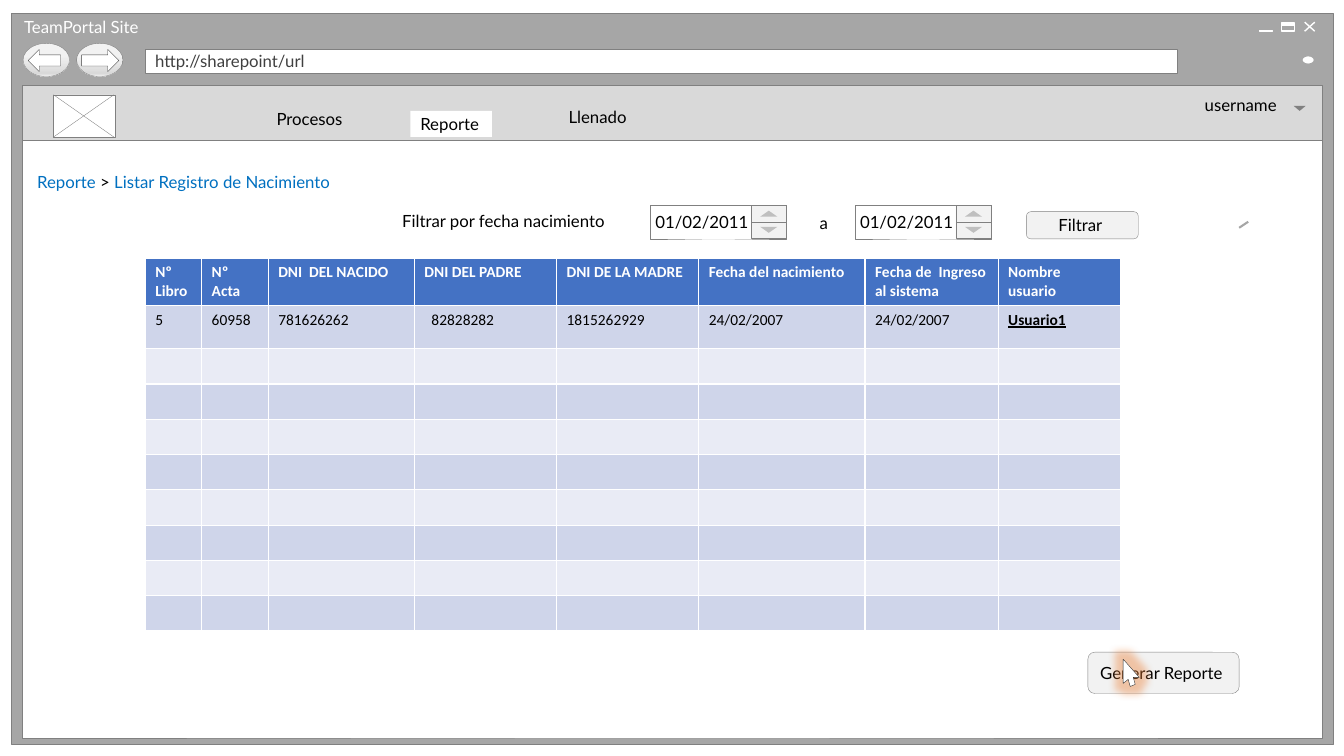
"""Build the wireframe slide of a birth record report."""
from copy import deepcopy
from lxml import etree
from pptx import Presentation
from pptx.dml.color import RGBColor
from pptx.enum.shapes import MSO_CONNECTOR, MSO_SHAPE
from pptx.enum.text import MSO_ANCHOR, PP_ALIGN
from pptx.oxml import parse_xml
from pptx.oxml.ns import nsdecls, qn
from pptx.util import Inches, Pt

WHITE = RGBColor(0xFF, 0xFF, 0xFF)
BLACK = RGBColor(0, 0, 0)
INK = RGBColor(0x40, 0x40, 0x40)
DARK = RGBColor(0x26, 0x26, 0x26)
EDGE = RGBColor(0x80, 0x80, 0x80)
FRAME = RGBColor(0xA6, 0xA6, 0xA6)
MARK = RGBColor(0xBF, 0xBF, 0xBF)
BAR = RGBColor(0xD9, 0xD9, 0xD9)
PALE = RGBColor(0xF2, 0xF2, 0xF2)
LINK = RGBColor(0x00, 0x70, 0xC0)
HEAD = RGBColor(0x44, 0x72, 0xC4)
BAND = RGBColor(0xCF, 0xD5, 0xEA)
LIGHT = RGBColor(0xE9, 0xEB, 0xF5)

deck = Presentation()
deck.slide_width, deck.slide_height = Inches(13.33), Inches(7.5)
slide = deck.slides.add_slide(deck.slide_layouts[6])
shapes = slide.shapes


def write(frame, *parts, color=BLACK, size=12, font="Lato", bold=False,
          under=False, align=PP_ALIGN.LEFT, anchor=MSO_ANCHOR.MIDDLE,
          inset=(0.1, 0.02, 0.1, 0.03)):
    frame.word_wrap = True
    frame.vertical_anchor = anchor
    (frame.margin_left, frame.margin_top,
     frame.margin_right, frame.margin_bottom) = map(Inches, inset)
    para = frame.paragraphs[0]
    para.alignment = align
    for part in parts:
        text, tint = part if isinstance(part, tuple) else (part, color)
        run = para.add_run()
        run.text = text
        run.font.name, run.font.size = font, Pt(size)
        run.font.bold, run.font.underline = bold, under
        run.font.color.rgb = tint


def draw(kind, x, y, w, h, fill=None, line=EDGE, width=0.25):
    shape = shapes.add_shape(kind, Inches(x), Inches(y), Inches(w), Inches(h))
    shape.shadow.inherit = False
    if fill is None:
        shape.fill.background()
    else:
        shape.fill.solid()
        shape.fill.fore_color.rgb = fill
    if line is None:
        shape.line.fill.background()
    else:
        shape.line.color.rgb = line
        shape.line.width = Pt(width)
    return shape


RECT, OVAL, ROUND = MSO_SHAPE.RECTANGLE, MSO_SHAPE.OVAL, MSO_SHAPE.ROUNDED_RECTANGLE
CENTER = PP_ALIGN.CENTER

draw(RECT, 0.11, 0.13, 13.11, 7.25, FRAME)
url = draw(RECT, 1.44, 0.49, 10.24, 0.24, WHITE)
write(url.text_frame, "http://sharepoint/url", color=INK)

for x, kind, width in ((0.23, MSO_SHAPE.LEFT_ARROW, 0.32),
                       (0.76, MSO_SHAPE.RIGHT_ARROW, 0.37)):
    disc = draw(OVAL, x, 0.43, 0.46, 0.33, PALE)
    disc.fill.gradient()
    disc.fill.gradient_angle = 270
    stops = disc._element.spPr.find(qn("a:gradFill")).find(qn("a:gsLst"))
    stops.append(deepcopy(stops[0]))
    for stop, place, tint in zip(disc.fill.gradient_stops, (0.36, 0.91, 1), (PALE, BAR, PALE)):
        stop.position, stop.color.rgb = place, tint
    draw(kind, x + 0.05, 0.49, width, 0.22, WHITE, INK)

draw(RECT, 12.71, 0.24, 0.13, 0.01, WHITE, WHITE)
draw(RECT, 12.71, 0.23, 0.13, 0.08, None, WHITE, 1)
draw(RECT, 12.49, 0.3, 0.13, 0.01, WHITE, WHITE)
draw(OVAL, 12.91, 0.55, 0.13, 0.09, WHITE, FRAME, 1.25)
draw(RECT, 0.22, 0.9, 12.89, 6.42, WHITE)
draw(RECT, 0.22, 0.85, 12.89, 0.54, BAR)
tab = draw(RECT, 4.07, 1.1, 0.81, 0.26, WHITE, None)
write(tab.text_frame, "Reporte", inset=(0.1, 0.02, 0.05, 0.03))
draw(MSO_SHAPE.ISOSCELES_TRIANGLE, 12.83, 1.05, 0.12, 0.05, EDGE, None).rotation = 180
draw(RECT, 0.53, 0.94, 0.61, 0.42, WHITE)

for x1, y1, x2, y2, tint, width in (
        (12.94, 0.22, 13.04, 0.31, WHITE, 1),
        (13.04, 0.22, 12.94, 0.31, WHITE, 1),
        (0.53, 0.94, 1.13, 1.36, EDGE, 0.25),
        (0.53, 1.36, 1.13, 0.94, EDGE, 0.25),
        (12.29, 2.26, 12.38, 2.2, FRAME, 1.5)):
    stroke = shapes.add_connector(MSO_CONNECTOR.STRAIGHT, Inches(x1), Inches(y1),
                                  Inches(x2), Inches(y2))
    stroke.line.color.rgb, stroke.line.width = tint, Pt(width)
    etree.SubElement(stroke._element.spPr, qn("a:effectLst"))

trail = (("Reporte ", LINK), ("> ", BLACK), ("Listar Registro de Nacimiento", LINK))
for x, y, w, h, parts, look in (
        (0.14, 0.15, 1.72, 0.24, ["TeamPortal Site"], {"color": WHITE}),
        (2.45, 1.06, 1.29, 0.27, ["Procesos"],
         {"align": CENTER, "anchor": MSO_ANCHOR.TOP, "inset": (0, 0.02, 0.05, 0.05)}),
        (5.54, 1.04, 0.81, 0.25, ["Llenado"], {}),
        (11.85, 0.92, 1.22, 0.24, ["username"], {}),
        (0.27, 1.68, 3.17, 0.27, trail, {"inset": (0.1, 0.02, 0.1, 0.05)}),
        (3.89, 2.07, 2.42, 0.25, ["Filtrar por fecha nacimiento"], {}),
        (8.03, 2.09, 0.34, 0.25, ["a"], {})):
    box = shapes.add_textbox(Inches(x), Inches(y), Inches(w), Inches(h))
    write(box.text_frame, *parts, **look)

for x in (6.45, 8.48):
    date = draw(RECT, x, 2.04, 1.35, 0.33, WHITE)
    write(date.text_frame, "01/02/2011", inset=(0.05, 0.05, 0.2, 0.05))
    for y, turn in ((2.2, 180), (2.04, 0)):
        draw(RECT, x + 1, y, 0.35, 0.16, PALE)
        spin = draw(MSO_SHAPE.ISOSCELES_TRIANGLE, x + 1.09, y + 0.05, 0.17, 0.06, MARK, None)
        spin.rotation = turn

for x, y, w, h, text in ((10.18, 2.1, 1.11, 0.27, "Filtrar"),
                         (10.79, 6.47, 1.5, 0.41, "Generar Reporte")):
    button = draw(ROUND, x, y, w, h, PALE)
    write(button.text_frame, text, align=CENTER, inset=(0.08, 0, 0.12, 0.01))

tip = [(11.14, 6.54), (11.3, 6.72), (11.24, 6.72), (11.26, 6.79),
       (11.21, 6.81), (11.19, 6.74), (11.14, 6.78)]
points = [(Inches(x), Inches(y)) for x, y in tip]
path = shapes.build_freeform(*points[0])
path.add_line_segments(points[1:], close=True)
mouse = path.convert_to_shape()
mouse.fill.solid()
mouse.fill.fore_color.rgb = WHITE
mouse.line.color.rgb, mouse.line.width = DARK, Pt(0.25)
mouse.shadow.inherit = False
glow = parse_xml(f'<a:glow {nsdecls("a")} rad="139700"><a:srgbClr val="ED7D31">'
                 '<a:alpha val="40000"/></a:srgbClr></a:glow>')
mouse._element.spPr.find(qn("a:effectLst")).append(glow)

cols = (0.56, 0.66, 1.45, 1.41, 1.41, 1.65, 1.32, 1.22)
rows = [0.47, 0.43] + [0.35] * 8
titles = ("Nº Libro", "Nº Acta", "DNI  DEL NACIDO", "DNI DEL PADRE", "DNI DE LA MADRE",
          "Fecha del nacimiento", "Fecha de  Ingreso al sistema", "Nombre usuario")
record = ("5", "60958", "781626262", "82828282", "1815262929",
          "24/02/2007", "24/02/2007", "Usuario1")
table = shapes.add_table(len(rows), len(cols), Inches(1.44), Inches(2.56),
                         Inches(sum(cols)), Inches(sum(rows))).table
for col, width in zip(table.columns, cols):
    col.width = Inches(width)
for r, height in enumerate(rows):
    table.rows[r].height = Inches(height)
    for c in range(len(cols)):
        cell = table.cell(r, c)
        cell.fill.solid()
        cell.fill.fore_color.rgb = HEAD if r == 0 else BAND if r % 2 else LIGHT
        if r < 2:
            user = r == 1 and c == len(cols) - 1
            write(cell.text_frame, (titles, record)[r][c], size=11, font="Calibri",
                  color=BLACK if r else WHITE, bold=r == 0 or user, under=user,
                  anchor=MSO_ANCHOR.TOP, inset=(0.1, 0.05, 0.1, 0.05))
            cell.margin_left = Inches(0.17 if (r, c) == (1, 3) else 0.1)
            cell.vertical_anchor = MSO_ANCHOR.TOP
        else:
            end = etree.SubElement(cell.text_frame.paragraphs[0]._p, qn("a:endParaRPr"))
            end.set("sz", "1100")

deck.save("out.pptx")
